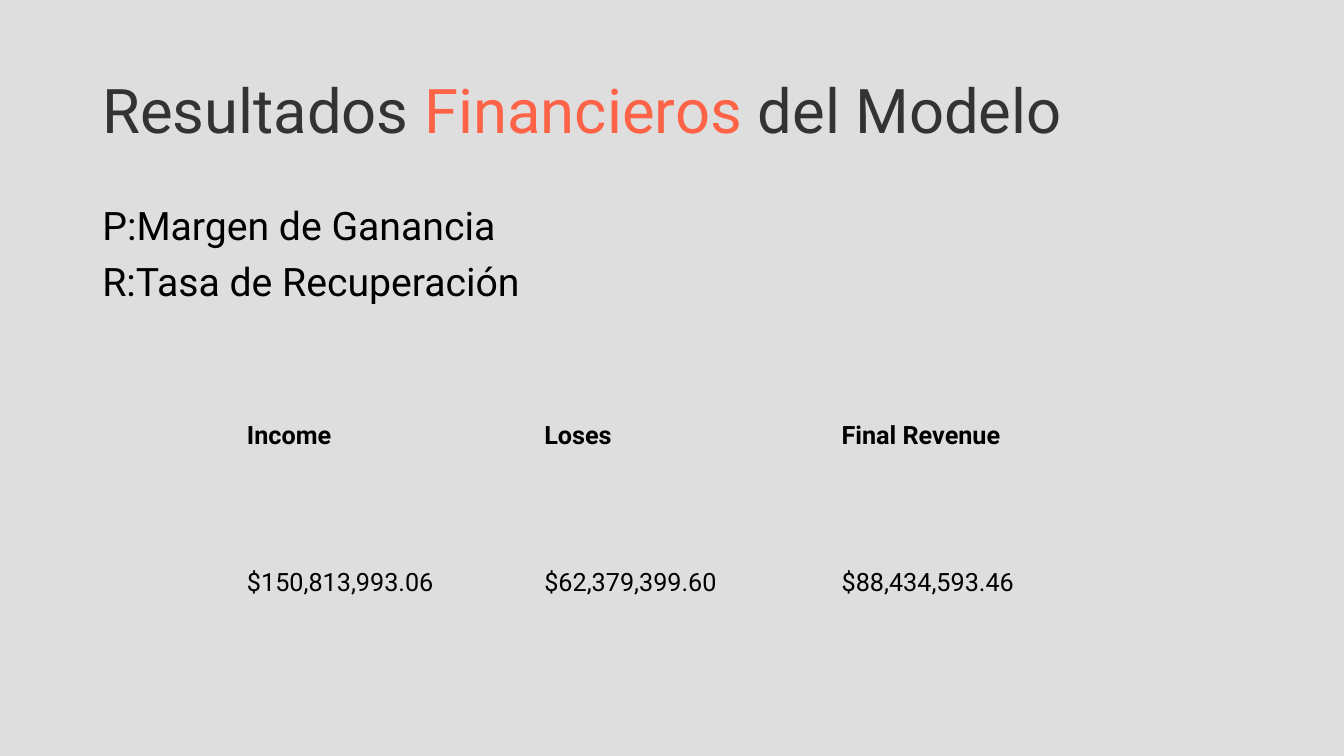
from lxml import etree
from pptx import Presentation
from pptx.dml.color import RGBColor
from pptx.enum.text import MSO_ANCHOR
from pptx.oxml.ns import qn
from pptx.util import Cm, Pt

MIDDLE = MSO_ANCHOR.MIDDLE
TOP = MSO_ANCHOR.TOP
FONT = "Roboto"
COLORS = {
    "background": "DEDEDE",
    "title": "333333",
    "accent": "FF6347",
    "text": "000000",
}
TITLE_PARTS = [
    ("Resultados ", "title"),
    ("Financieros", "accent"),
    (" del Modelo", "title"),
]
DEFINITIONS = ["P:Margen de Ganancia", "R:Tasa de Recuperación"]
RESULTS = [
    ["Income", "Loses", "Final Revenue"],
    ["$150,813,993.06", "$62,379,399.60", "$88,434,593.46"],
]


def format_run(run, size, color, bold=False):
    run.font.name = FONT
    run.font.size = Pt(size)
    run.font.bold = bold
    run.font.color.rgb = RGBColor.from_string(COLORS[color])


def add_text_frame(slide, box, anchor):
    text_frame = slide.shapes.add_textbox(*box).text_frame
    text_frame.word_wrap = True
    text_frame.vertical_anchor = anchor
    return text_frame


def add_title(slide, box):
    paragraph = add_text_frame(slide, box, MIDDLE).paragraphs[0]
    paragraph.line_spacing = 0.9
    for text, color in TITLE_PARTS:
        run = paragraph.add_run()
        run.text = text
        format_run(run, 44, color)


def add_definitions(slide, box):
    text_frame = add_text_frame(slide, box, TOP)
    text_frame.text = "\n".join(DEFINITIONS)
    for paragraph in text_frame.paragraphs:
        paragraph.line_spacing = 0.9
        paragraph.space_before = Pt(10)
        format_run(paragraph.runs[0], 28, "text")


def clear_borders(cell):
    properties = cell._tc.get_or_add_tcPr()
    for index, side in enumerate(("lnL", "lnR", "lnT", "lnB")):
        border = etree.Element(qn(f"a:{side}"))
        etree.SubElement(border, qn("a:noFill"))
        properties.insert(index, border)


def add_results_table(slide, box):
    table = slide.shapes.add_table(len(RESULTS), len(RESULTS[0]), *box).table
    table.first_row = False
    table.horz_banding = False
    for row_index, row in enumerate(RESULTS):
        for column_index, text in enumerate(row):
            cell = table.cell(row_index, column_index)
            cell.text_frame.text = text
            cell.vertical_anchor = MIDDLE
            cell.fill.background()
            clear_borders(cell)
            run = cell.text_frame.paragraphs[0].runs[0]
            format_run(run, 18, "text", bold=row_index == 0)


def build_results_slide(presentation):
    slide = presentation.slides.add_slide(presentation.slide_layouts[6])
    fill = slide.background.fill
    fill.solid()
    fill.fore_color.rgb = RGBColor.from_string(COLORS["background"])
    left, width = Cm(2.33), Cm(29.21)
    add_title(slide, (left, Cm(1.01), width, Cm(3.68)))
    add_definitions(slide, (left, Cm(5.07), width, Cm(12.09)))
    add_results_table(slide, (Cm(5.97), Cm(9.14), Cm(22.48), Cm(7.39)))


def main():
    presentation = Presentation()
    presentation.slide_width = Cm(33.87)
    presentation.slide_height = Cm(19.05)
    build_results_slide(presentation)
    presentation.save("out.pptx")


if __name__ == "__main__":
    main()
